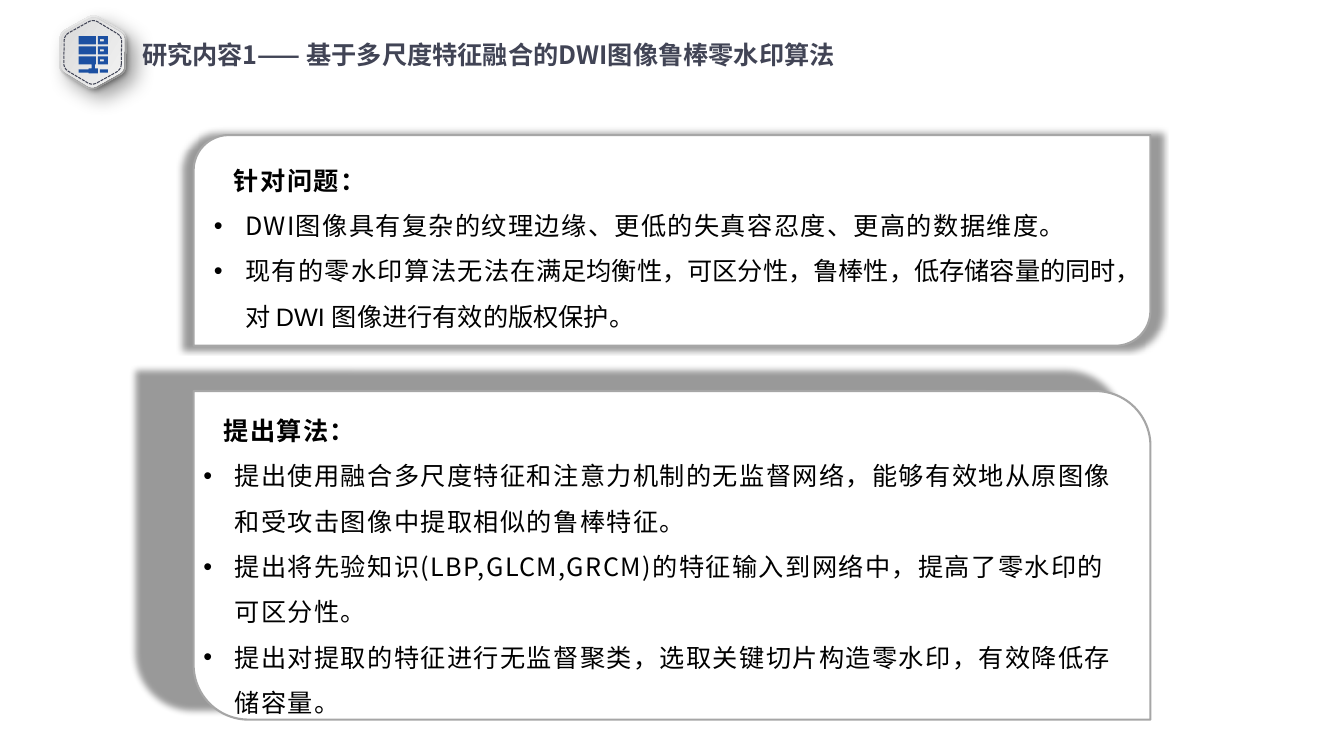
import math

import pptx
import pptx.dml.color
import pptx.enum.dml
import pptx.enum.shapes
import pptx.enum.text
import pptx.oxml
import pptx.oxml.ns
import pptx.util
from pptx.util import Inches

COLORS = {
    "white": "FFFFFF", "text": "000000", "title": "414455", "border": "A6A6A6",
    "blue": "1C50A2", "gray_dark": "D3D3D3", "gray_light": "F9F9F9",
}
FONT = "Noto Sans CJK SC"
LATIN_FONT = "Arial"
CARD_LEFT, CARD_WIDTH = 1.92, 9.49
HEXAGON_CENTER = (0.92, 0.52)

TITLE = "研究内容1—— 基于多尺度特征融合的DWI图像鲁棒零水印算法"
# Each bullet is a list of runs: text, font, letter spacing in points.
PROBLEM_BULLETS = [
    [("DWI图像具有复杂的纹理边缘、更低的失真容忍度、更高的数据维度。", FONT, 1)],
    [("现有的零水印算法无法", FONT, 1),
     ("在满足均衡性，可区分性，鲁棒性，低存储容量的同时，对 DWI 图像进行有效的版权保护。",
      LATIN_FONT, 0)],
]
ALGORITHM_BULLETS = [
    [("提出使用融合多尺度特征和注意力机制的无监督网络，能够有效地从原图像和受攻击图像中提取相似的鲁棒特征。",
      FONT, 1)],
    [("提出将先验知识(LBP,GLCM,GRCM)的特征输入到网络中，提高了零水印的可区分性。", FONT, 1)],
    [("提出对提取的特征进行无监督聚类，选取关键切片构造零水印，有效降低存储容量。", FONT, 1)],
]


def rgb(name):
    return pptx.dml.color.RGBColor.from_string(COLORS[name])


def append_xml(parent, tag, attributes="", inner=""):
    namespace = pptx.oxml.ns.nsdecls("a")
    parent.append(pptx.oxml.parse_xml(
        f"<a:{tag} {namespace} {attributes}>{inner}</a:{tag}>"))


def add_shadow(shape, blur, distance=0, angle=0, scale=100, align="ctr"):
    """Outer shadow; blur and distance in points, scale in percent."""
    shape.shadow.inherit = False
    effects = shape._element.spPr.find(pptx.oxml.ns.qn("a:effectLst"))
    attributes = (
        f'blurRad="{blur * 12700}" dist="{distance * 12700}" dir="{angle * 60000}" '
        f'sx="{scale * 1000}" sy="{scale * 1000}" algn="{align}" rotWithShape="0"')
    append_xml(effects, "outerShdw", attributes,
               '<a:srgbClr val="000000"><a:alpha val="40000"/></a:srgbClr>')


def format_run(run, color, font=FONT, bold=False, spacing=0):
    run.font.size = pptx.util.Pt(18)
    run.font.bold = bold
    run.font.color.rgb = rgb(color)
    run.font.name = font
    properties = run._r.get_or_add_rPr()
    properties.set("spc", str(spacing * 100))
    append_xml(properties, "ea", f'typeface="{FONT}"')


def fill_text(text_frame, heading, bullets):
    text_frame.word_wrap = True
    text_frame.text = heading
    first = text_frame.paragraphs[0]
    first._p.get_or_add_pPr().set("marL", str(Inches(0.2)))
    format_run(first.runs[0], "text", bold=True, spacing=1)
    for bullet in bullets:
        paragraph = text_frame.add_paragraph()
        properties = paragraph._p.get_or_add_pPr()
        properties.set("marL", str(Inches(0.31)))
        properties.set("indent", str(-Inches(0.31)))
        append_xml(properties, "buFont", f'typeface="{LATIN_FONT}"')
        append_xml(properties, "buChar", 'char="•"')
        for text, font, spacing in bullet:
            run = paragraph.add_run()
            run.text = text
            format_run(run, "text", font, spacing=spacing)
    for paragraph in text_frame.paragraphs:
        paragraph.line_spacing = 1.5
        paragraph.alignment = pptx.enum.text.PP_ALIGN.LEFT


def add_card(slide, top, height):
    card = slide.shapes.add_shape(
        pptx.enum.shapes.MSO_SHAPE.ROUND_2_DIAG_RECTANGLE,
        Inches(CARD_LEFT), Inches(top), Inches(CARD_WIDTH), Inches(height))
    card.fill.solid()
    card.fill.fore_color.rgb = rgb("white")
    card.line.color.rgb = rgb("border")
    card.line.width = pptx.util.Pt(1.5)
    return card


def add_textbox(slide, left, top, width, height):
    text_frame = slide.shapes.add_textbox(
        Inches(left), Inches(top), Inches(width), Inches(height)).text_frame
    text_frame.word_wrap = True
    text_frame.auto_size = pptx.enum.text.MSO_AUTO_SIZE.SHAPE_TO_FIT_TEXT
    return text_frame


def add_freeform(shapes, contours):
    """One shape from closed contours of (x, y) points in inches."""
    contours = [[(Inches(x), Inches(y)) for x, y in contour] for contour in contours]
    builder = shapes.build_freeform(*contours[0][0])
    builder.add_line_segments(contours[0][1:])
    for contour in contours[1:]:
        builder.move_to(*contour[0])
        builder.add_line_segments(contour[1:])
    shape = builder.convert_to_shape()
    shape.shadow.inherit = False
    return shape


def rounded_hexagon(width, height):
    center_x, center_y = HEXAGON_CENTER
    apothem = height / 2
    radius = (apothem * 2 / math.sqrt(3) - width / 2) / (2 / math.sqrt(3) - 1)
    corner = (apothem - radius) * 2 / math.sqrt(3)
    points = []
    for side in range(6):
        direction = side * 60
        for offset in range(-30, 31, 10):
            angle, turn = math.radians(direction), math.radians(direction + offset)
            points.append((center_x + corner * math.cos(angle) + radius * math.cos(turn),
                           center_y + corner * math.sin(angle) + radius * math.sin(turn)))
    return points


def add_badge(slide):
    shapes = slide.shapes.add_group_shape().shapes
    for width, height, angle, blur, distance in (
            (0.73, 0.66, 90, 15, 9), (0.69, 0.62, 0, 4, 3)):
        plate = add_freeform(shapes, [rounded_hexagon(width, height)])
        plate.rotation = 30.9
        plate.fill.gradient()
        plate.fill.gradient_angle = angle
        for stop, color in zip(plate.fill.gradient_stops, ("gray_dark", "gray_light")):
            stop.color.rgb = rgb(color)
        plate.line.fill.background()
        add_shadow(plate, blur, distance, 45)
    stitching = add_freeform(shapes, [rounded_hexagon(0.63, 0.57)])
    stitching.rotation = 30.9
    stitching.fill.background()
    stitching.line.color.rgb = rgb("title")
    stitching.line.width = pptx.util.Pt(0.75)
    stitching.line.dash_style = pptx.enum.dml.MSO_LINE.SQUARE_DOT


def rectangle(left, top, right, bottom):
    return [(left, top), (right, top), (right, bottom), (left, bottom)]


def add_server_icon(slide):
    contours = []
    for top in (0.36, 0.46, 0.56):
        contours.append(rectangle(0.78, top, 0.95, top + 0.08))
        contours.append(rectangle(0.97, top, 1.07, top + 0.08))
        contours.append(rectangle(0.99, top + 0.03, 1.03, top + 0.05)[::-1])
    contours.append(rectangle(0.91, 0.64, 0.94, 0.68))
    contours.append(rectangle(0.88, 0.68, 0.97, 0.73))
    contours.append(rectangle(0.78, 0.69, 0.88, 0.72))
    contours.append(rectangle(0.99, 0.69, 1.07, 0.72))
    icon = add_freeform(slide.shapes, contours)
    icon.fill.solid()
    icon.fill.fore_color.rgb = rgb("blue")
    icon.line.fill.background()


def add_title(slide):
    text_frame = add_textbox(slide, 1.34, 0.35, 8.6, 0.68)
    text_frame.margin_left = text_frame.margin_right = Inches(0.07)
    text_frame.margin_top = text_frame.margin_bottom = Inches(0.04)
    text_frame.text = TITLE
    format_run(text_frame.paragraphs[0].runs[0], "title", bold=True)


def main():
    presentation = pptx.Presentation()
    presentation.slide_width = Inches(13.33)
    presentation.slide_height = Inches(7.5)
    slide = presentation.slides.add_slide(presentation.slide_layouts[6])
    add_badge(slide)
    add_title(slide)
    add_server_icon(slide)

    problem_card = add_card(slide, 1.34, 2.09)
    add_shadow(problem_card, 5, scale=102)
    problem_card.text_frame.vertical_anchor = pptx.enum.text.MSO_ANCHOR.MIDDLE
    fill_text(problem_card.text_frame, "针对问题：", PROBLEM_BULLETS)

    algorithm_card = add_card(slide, 3.88, 3.26)
    algorithm_card._element.spPr.get_or_add_xfrm().set("flipV", "1")
    add_shadow(algorithm_card, 5, scale=103, align="br")
    fill_text(add_textbox(slide, CARD_LEFT, 3.92, 9.36, 3.23), "提出算法：", ALGORITHM_BULLETS)
    presentation.save("out.pptx")


if __name__ == "__main__":
    main()
